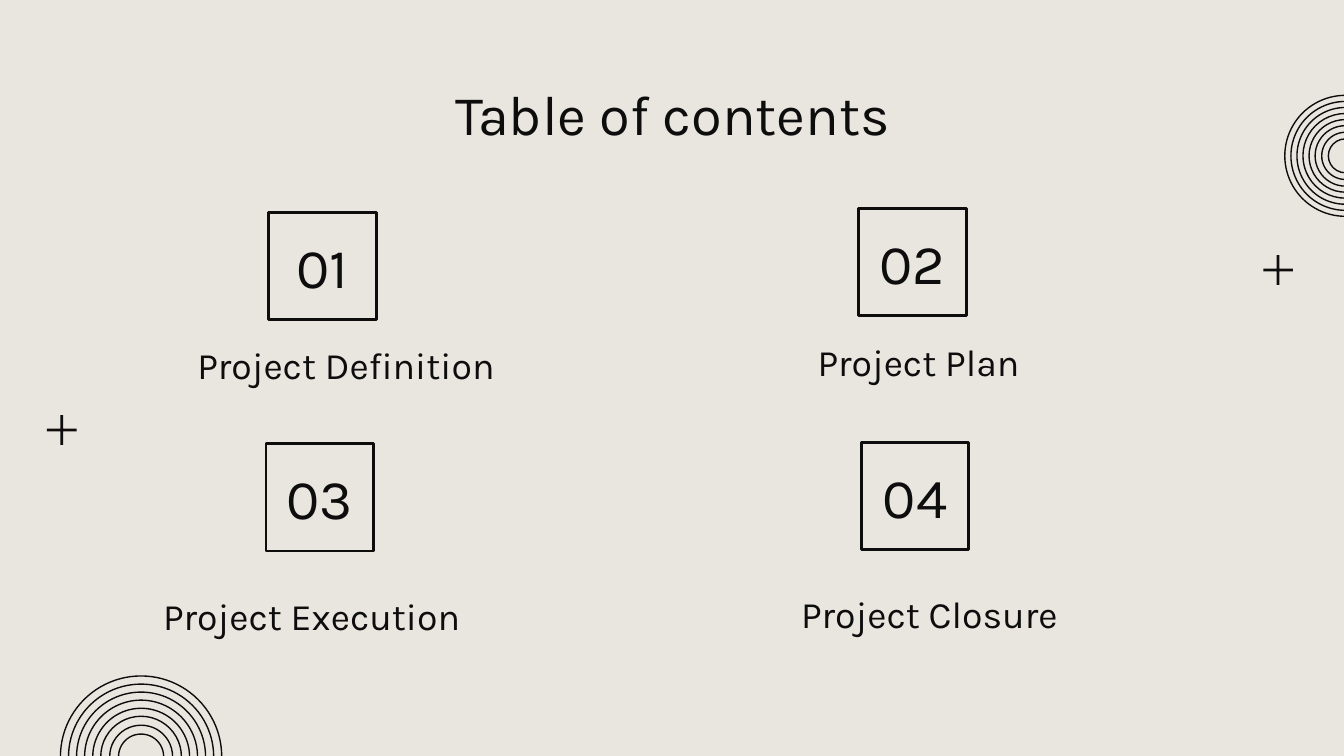
from pptx import Presentation
from pptx.dml.color import RGBColor
from pptx.enum.shapes import MSO_SHAPE
from pptx.enum.text import MSO_ANCHOR, MSO_AUTO_SIZE, PP_ALIGN
from pptx.util import Inches, Pt

COLORS = {"background": "E9E5DF", "ink": "0D0D0D"}
FONT = "Karla"
INK = RGBColor.from_string(COLORS["ink"])
RING_SCALES = (1, 0.9, 0.8, 0.7, 0.6, 0.5, 0.39, 0.28)
NUMBER_SIZE = 0.8
LABEL_HEIGHT = 0.53

# number, left and top of its square, label, left, top and width of the label
ENTRIES = [
    ("01", 2, 1.58, "Project Definition", 1.33, 2.45, 2.49),
    ("02", 6.39, 1.55, "Project Plan", 5.76, 2.43, 2.15),
    ("03", 1.98, 3.3, "Project Execution", 1.01, 4.32, 2.62),
    ("04", 6.41, 3.29, "Project Closure", 5.67, 4.3, 2.49),
]


def set_text(shape, text, size, anchor):
    frame = shape.text_frame
    frame.text = text
    frame.word_wrap = True
    frame.auto_size = MSO_AUTO_SIZE.NONE
    frame.vertical_anchor = anchor
    frame.margin_left = frame.margin_right = Inches(0.1)
    frame.margin_top = frame.margin_bottom = Inches(0.1)
    paragraph = frame.paragraphs[0]
    paragraph.alignment = PP_ALIGN.CENTER
    paragraph.font.name = FONT
    paragraph.font.size = Pt(size)
    paragraph.font.color.rgb = INK


def add_outline(slide, preset, left, top, size, line_width):
    shape = slide.shapes.add_shape(
        preset, Inches(left), Inches(top), Inches(size), Inches(size))
    shape.shadow.inherit = False
    shape.fill.background()
    shape.line.color.rgb = INK
    shape.line.width = Pt(line_width)
    return shape


def add_rings(slide, center_x, center_y, diameter):
    for scale in RING_SCALES:
        size = diameter * scale
        add_outline(slide, MSO_SHAPE.OVAL,
                    center_x - size / 2, center_y - size / 2, size, 0.75)


def add_plus(slide, left, top, size=0.3):
    plus = slide.shapes.add_shape(
        MSO_SHAPE.MATH_PLUS, Inches(left), Inches(top), Inches(size), Inches(size))
    plus.adjustments[0] = 0.069
    plus.shadow.inherit = False
    plus.fill.solid()
    plus.fill.fore_color.rgb = INK
    plus.line.fill.background()


def place_title(slide, text, left, top, width, height):
    title = slide.shapes.title
    title.left, title.top = Inches(left), Inches(top)
    title.width, title.height = Inches(width), Inches(height)
    set_text(title, text, 30, MSO_ANCHOR.TOP)


def add_entry(slide, number, left, top, label, label_left, label_top, label_width):
    square = add_outline(slide, MSO_SHAPE.RECTANGLE, left, top, NUMBER_SIZE, 1.5)
    set_text(square, number, 30, MSO_ANCHOR.MIDDLE)
    caption = slide.shapes.add_textbox(
        Inches(label_left), Inches(label_top), Inches(label_width), Inches(LABEL_HEIGHT))
    set_text(caption, label, 20, MSO_ANCHOR.BOTTOM)


def build_contents_slide(presentation):
    slide = presentation.slides.add_slide(presentation.slide_layouts[5])
    slide.background.fill.solid()
    slide.background.fill.fore_color.rgb = RGBColor.from_string(COLORS["background"])

    # Decoration at the edges
    add_rings(slide, 1.05, 5.63, 1.2)
    add_rings(slide, 10.01, 1.16, 0.9)
    add_plus(slide, 9.36, 1.86)
    add_plus(slide, 0.31, 3.05)

    # Title and numbered entries
    place_title(slide, "Table of contents", 0.79, 0.49, 8.43, 0.63)
    for entry in ENTRIES:
        add_entry(slide, *entry)


def main():
    presentation = Presentation()
    # Widescreen, 16:9
    presentation.slide_width = Inches(10)
    presentation.slide_height = Inches(10 * 9 / 16)
    build_contents_slide(presentation)
    presentation.save("out.pptx")


if __name__ == "__main__":
    main()
